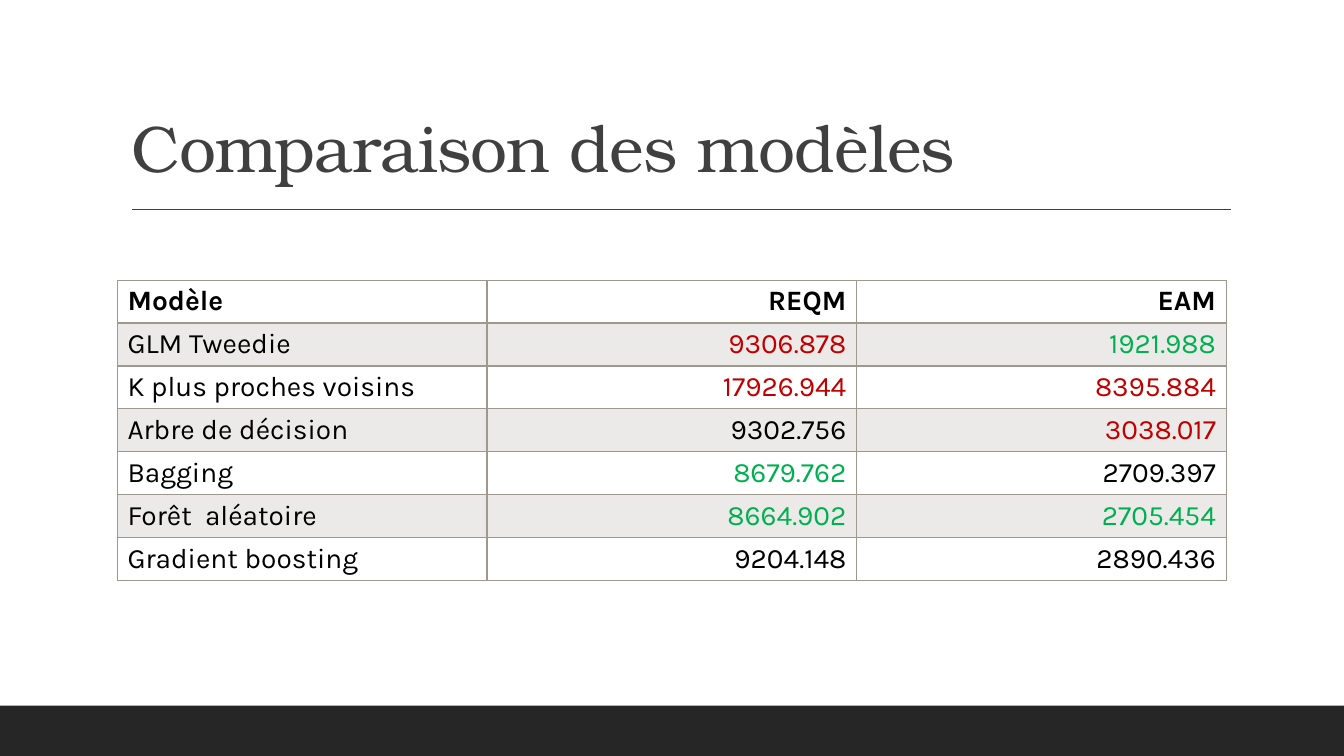
from lxml.etree import SubElement
from pptx import Presentation
from pptx.dml.color import RGBColor
from pptx.enum.shapes import MSO_CONNECTOR as Connector, MSO_SHAPE as Shape
from pptx.enum.text import MSO_ANCHOR as Anchor, MSO_AUTO_SIZE as AutoSize, PP_ALIGN as Align
from pptx.oxml import parse_xml
from pptx.oxml.ns import nsdecls, qn
from pptx.util import Cm, Pt

COLORS = {
    "text": "000000",
    "title": "404040",
    "footer": "262626",
    "border": "A0988C",
    "bad": "C00000",
    "good": "00B050",
}
TITLE_FONT = "TeX Gyre Bonum"
BODY_FONT = "Karla"
HEADER = ["Modèle", "REQM", "EAM"]
MODELS = [
    ("GLM Tweedie", ("9306.878", "bad"), ("1921.988", "good")),
    ("K plus proches voisins", ("17926.944", "bad"), ("8395.884", "bad")),
    ("Arbre de décision", ("9302.756", "text"), ("3038.017", "bad")),
    ("Bagging", ("8679.762", "good"), ("2709.397", "text")),
    ("Forêt  aléatoire", ("8664.902", "good"), ("2705.454", "good")),
    ("Gradient boosting", ("9204.148", "text"), ("2890.436", "text")),
]


def rgb(name):
    return RGBColor.from_string(COLORS[name])


def write(text_frame, text, font=BODY_FONT, size=20, color="text", bold=False,
          align=Align.LEFT, line_spacing=1.0, spacing=0):
    paragraph = text_frame.paragraphs[0]
    paragraph.alignment = align
    paragraph.line_spacing = line_spacing
    run = paragraph.add_run()
    run.text = text
    run.font.name = font
    run.font.size = Pt(size)
    run.font.bold = bold
    run.font.color.rgb = rgb(color)
    if spacing:
        run.font._element.set("spc", str(int(spacing * 100)))


def add_footer(slide, left, top, width, height):
    bar = slide.shapes.add_shape(Shape.RECTANGLE, Cm(left), Cm(top), Cm(width), Cm(height))
    bar.shadow.inherit = False
    bar.fill.solid()
    bar.fill.fore_color.rgb = rgb("footer")
    bar.line.fill.background()


def add_title(slide, left, top, width, height):
    title = slide.shapes.title
    title.left, title.top, title.width, title.height = Cm(left), Cm(top), Cm(width), Cm(height)
    frame = title.text_frame
    frame.word_wrap = True
    frame.auto_size = AutoSize.NONE
    frame.vertical_anchor = Anchor.BOTTOM
    write(frame, "Comparaison des modèles", font=TITLE_FONT, size=47, color="title",
          line_spacing=0.9, spacing=-0.5)

    rule_left, rule_top = Cm(left + 0.28), Cm(top + height + 0.45)
    rule = slide.shapes.add_connector(Connector.STRAIGHT, rule_left, rule_top,
                                      rule_left + Cm(27.68), rule_top)
    rule.line.color.rgb = rgb("title")
    rule.line.width = Pt(1)
    SubElement(rule._element.spPr, qn("a:effectLst"))


def style_cell(cell, shaded, bottom_width):
    cell.fill.background()
    properties = cell._tc.get_or_add_tcPr()
    if shaded:
        cell.fill.solid()
        cell.fill.fore_color.rgb = rgb("border")
        color = properties.find(".//" + qn("a:srgbClr"))
        SubElement(color, qn("a:alpha")).set("val", "20000")
    widths = {"lnL": 1, "lnR": 1, "lnT": 1, "lnB": bottom_width}
    for position, (side, width) in enumerate(widths.items()):
        properties.insert(position, parse_xml(
            f'<a:{side} {nsdecls("a")} w="{Pt(width)}"><a:solidFill>'
            f'<a:srgbClr val="{COLORS["border"]}"/></a:solidFill></a:{side}>'))


def add_model_table(slide, left, top, width, row_height):
    rows = [[(label, "text") for label in HEADER]]
    rows += [[(name, "text"), *scores] for name, *scores in MODELS]
    frame = slide.shapes.add_table(len(rows), len(HEADER), Cm(left), Cm(top),
                                   Cm(width), Cm(row_height * len(rows)))
    table = frame.table
    table.horz_banding = False
    for column in table.columns:
        column.width = Cm(width / len(HEADER))
    for row_index, row in enumerate(rows):
        is_header = row_index == 0
        table.rows[row_index].height = Cm(row_height)
        for column_index, (text, color) in enumerate(row):
            cell = table.cell(row_index, column_index)
            style_cell(cell, shaded=row_index % 2 == 1, bottom_width=2 if is_header else 1)
            write(cell.text_frame, text, color=color, bold=is_header,
                  align=Align.RIGHT if column_index else Align.LEFT)


def main():
    presentation = Presentation()
    presentation.slide_width, presentation.slide_height = Cm(33.87), Cm(19.05)
    slide = presentation.slides.add_slide(presentation.slide_layouts[5])
    add_footer(slide, 0, 17.78, 33.87, 1.27)
    add_title(slide, 3.05, 0.79, 27.94, 4.04)
    add_model_table(slide, 2.96, 7.06, 27.94, 1.04)
    presentation.save("out.pptx")


if __name__ == "__main__":
    main()
